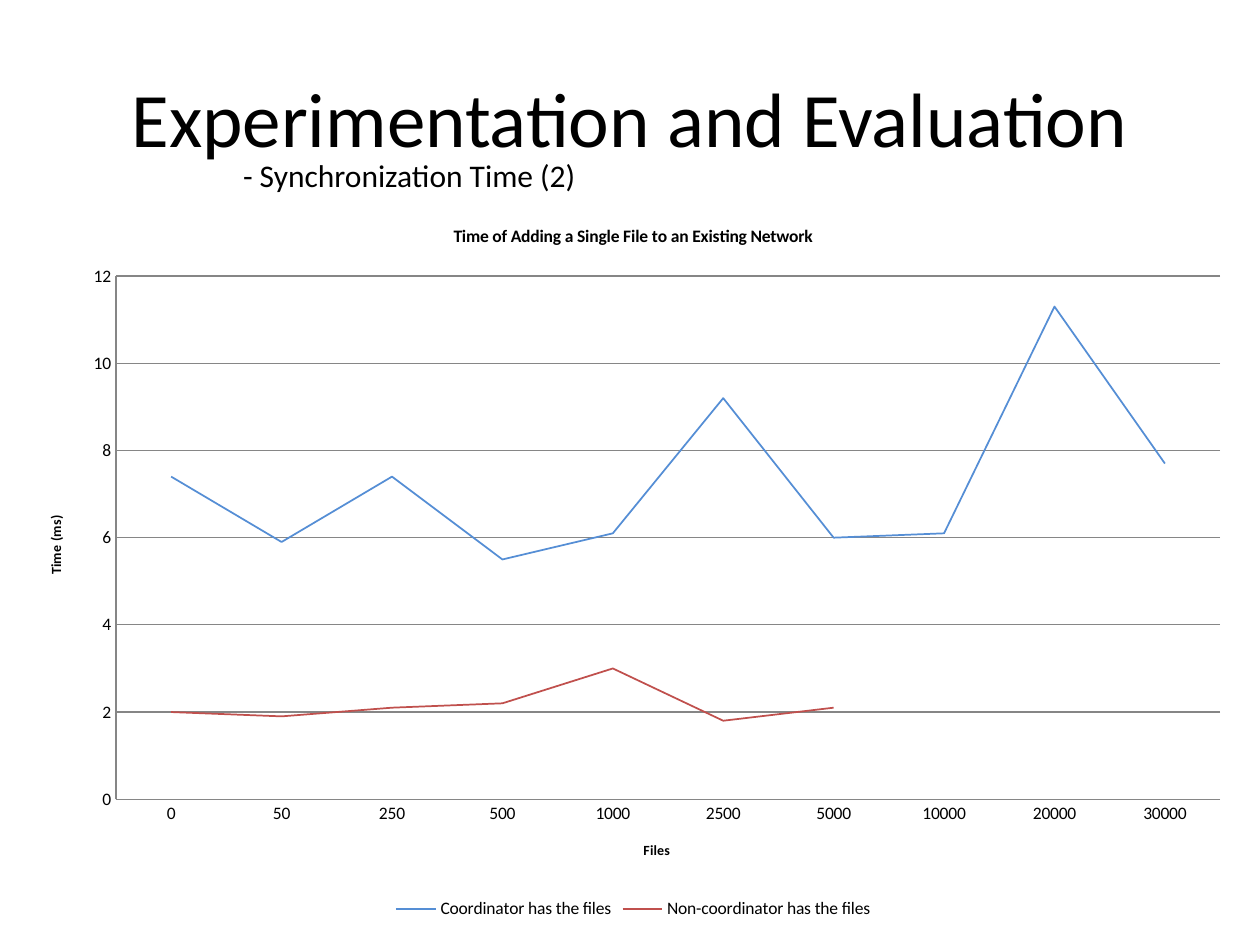
from pptx import Presentation
from pptx.chart.data import CategoryChartData
from pptx.dml.color import RGBColor
from pptx.enum.chart import XL_CHART_TYPE, XL_LEGEND_POSITION, XL_MARKER_STYLE, XL_TICK_MARK
from pptx.enum.text import MSO_ANCHOR, PP_ALIGN
from pptx.util import Cm, Pt


def color(value):
    return RGBColor.from_string(value)


def write(frame, text, size, bold=False, align=None):
    paragraph = frame.paragraphs[0]
    paragraph.alignment = align
    run = paragraph.add_run()
    run.text = text
    run.font.name = "Calibri"
    run.font.size = Pt(size)
    run.font.bold = bold
    run.font.color.rgb = color("000000")


presentation = Presentation()
presentation.slide_width = Cm(25.4)
presentation.slide_height = Cm(19.05)
slide = presentation.slides.add_slide(presentation.slide_layouts[6])

title = slide.shapes.add_textbox(Cm(1.27), Cm(0.76), Cm(22.86), Cm(3.18)).text_frame
title.word_wrap = True
title.vertical_anchor = MSO_ANCHOR.MIDDLE
write(title, "Experimentation and Evaluation", size=44, align=PP_ALIGN.CENTER)

subtitle = slide.shapes.add_textbox(Cm(4.65), Cm(3.02), Cm(16.1), Cm(1.02)).text_frame
subtitle.word_wrap = True
write(subtitle, "- Synchronization Time (2)", size=18)

chart_data = CategoryChartData()
chart_data.categories = ["0", "50", "250", "500", "1000", "2500", "5000", "10000", "20000", "30000"]
chart_data.add_series("Coordinator has the files", [7.4, 5.9, 7.4, 5.5, 6.1, 9.2, 6, 6.1, 11.3, 7.7])
chart_data.add_series("Non-coordinator has the files", [2, 1.9, 2.1, 2.2, 3, 1.8, 2.1, None, None, None])
chart = slide.shapes.add_chart(
    XL_CHART_TYPE.LINE, Cm(0.43), Cm(4.04), Cm(24.66), Cm(14.58), chart_data
).chart
chart.font.name = "Calibri"
chart.font.size = Pt(10)
chart.font.color.rgb = color("000000")
write(chart.chart_title.text_frame, "Time of Adding a Single File to an Existing Network", size=10, bold=True)
chart.chart_title.include_in_layout = False

chart.has_legend = True
chart.legend.position = XL_LEGEND_POSITION.BOTTOM
chart.legend.include_in_layout = False

for axis, name in ((chart.category_axis, "Files"), (chart.value_axis, "Time (ms)")):
    write(axis.axis_title.text_frame, name, size=8, bold=True)
    axis.major_tick_mark = XL_TICK_MARK.NONE
    axis.minor_tick_mark = XL_TICK_MARK.NONE
    axis.format.line.color.rgb = color("868686")
    axis.format.line.width = Pt(0.75)

value_axis = chart.value_axis
value_axis.minimum_scale = 0
value_axis.maximum_scale = 12
value_axis.major_unit = 2
value_axis.tick_labels.number_format = "General"
value_axis.tick_labels.number_format_is_linked = False
value_axis.major_gridlines.format.line.color.rgb = color("868686")
value_axis.major_gridlines.format.line.width = Pt(0.75)

plot = chart.plots[0]
plot.vary_by_categories = False
for series, line_color in zip(plot.series, ("558ED5", "C0504D")):
    series.smooth = False
    series.marker.style = XL_MARKER_STYLE.NONE
    series.format.line.color.rgb = color(line_color)
    series.format.line.width = Pt(1)

presentation.save("out.pptx")
